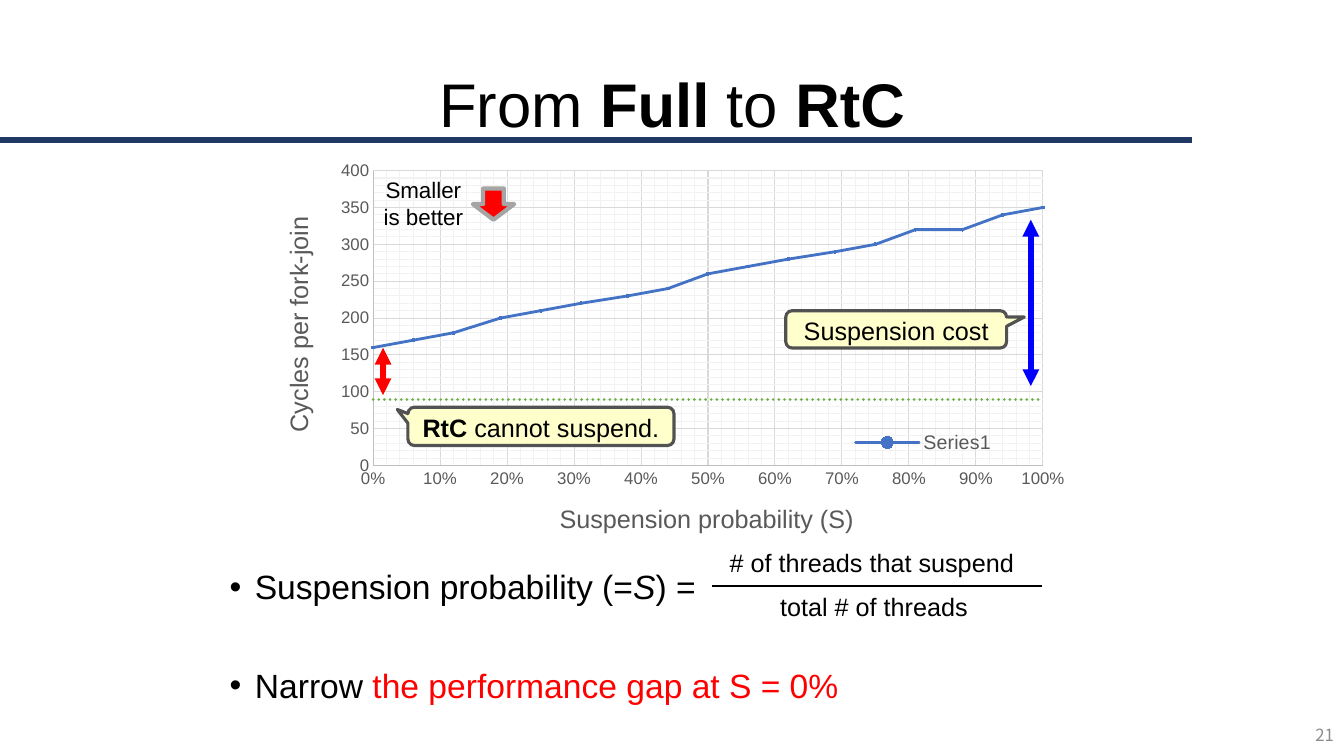
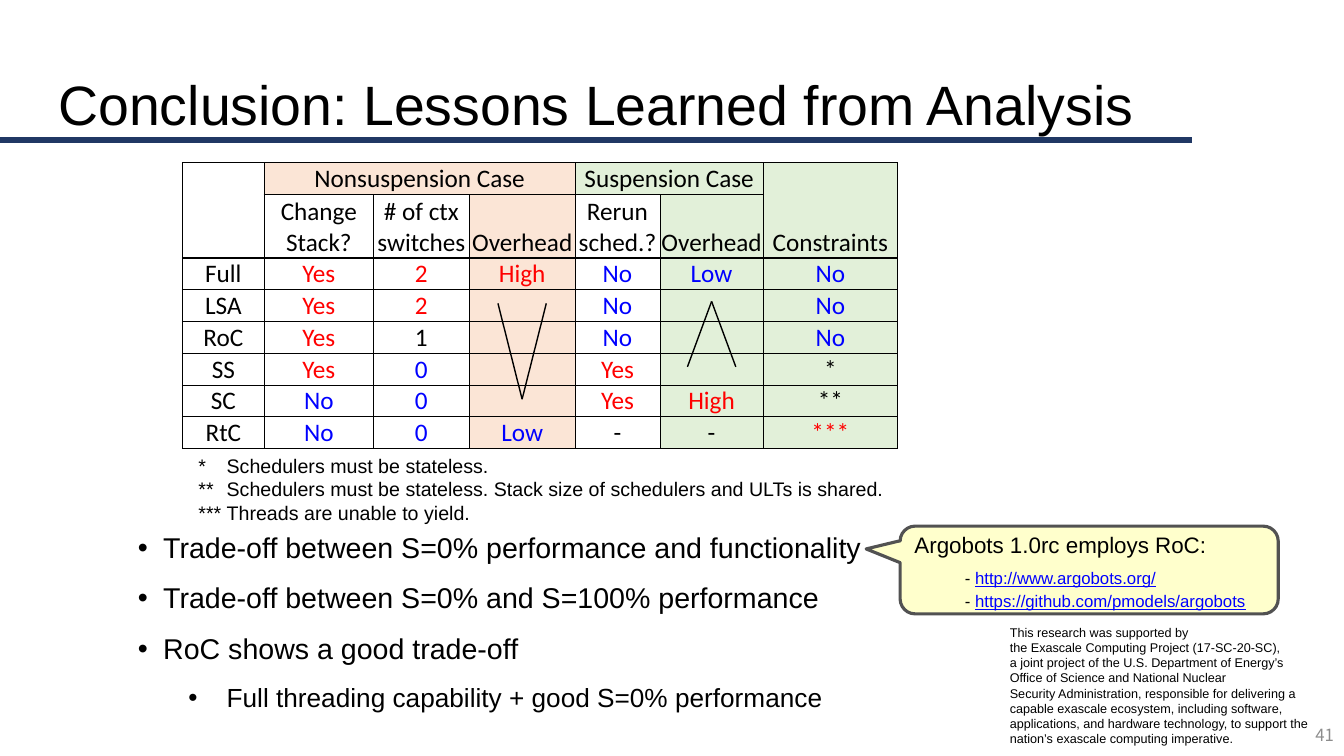
from dataclasses import dataclass

from pptx import Presentation
from pptx.chart.data import XyChartData
from pptx.dml.color import RGBColor
from pptx.enum.chart import XL_CHART_TYPE, XL_LEGEND_POSITION, XL_MARKER_STYLE, XL_TICK_MARK
from pptx.enum.dml import MSO_LINE
from pptx.enum.shapes import MSO_CONNECTOR, MSO_SHAPE
from pptx.enum.text import MSO_ANCHOR, PP_ALIGN
from pptx.oxml import parse_xml
from pptx.oxml.ns import nsdecls, qn
from pptx.util import Inches, Pt

# Shared style; positions are percentages of the slide's width and height
WIDTH, HEIGHT = Inches(13.333), Inches(7.5)
BLACK, RED, BLUE, GRAY = "000000", "FF0000", "0000FF", "595959"
NAVY, NOTE_FILL, NOTE_LINE = "203864", "FFFFCC", "525252"
PEACH, MINT = "FBE5D6", "E2F0D9"
FONT, TABLE_FONT, NUMBER_FONT = "Arial", "Calibri", "Noto Sans CJK JP"
RULE_END = 88.7


def rgb(value):
    return RGBColor.from_string(value)


def across(share):
    return round(WIDTH * share / 100)


def down(share):
    return round(HEIGHT * share / 100)


def box(left, top, width, height):
    return across(left), down(top), across(width), down(height)


# Text
@dataclass
class Para:
    runs: object  # a string, or (text, style) pairs; a newline is a line break
    size: float = 18
    color: str = BLACK
    font: str = FONT
    align: object = PP_ALIGN.LEFT
    spacing: float = 1.0
    before: float = 0
    margin: float = 0
    hanging: float = 0
    tab: float = 0


def style_run(run, para, color=None, bold=False, italic=False, underline=False):
    run.font.name, run.font.size = para.font, Pt(para.size)
    run.font.color.rgb = rgb(color or para.color)
    run.font.bold, run.font.italic, run.font.underline = bold, italic, underline


def write(frame, paras):
    for index, para in enumerate(paras):
        paragraph = frame.paragraphs[0] if index == 0 else frame.add_paragraph()
        props = paragraph._p.get_or_add_pPr()
        if para.margin:
            props.set("marL", str(Inches(para.margin)))
        if para.hanging:
            props.set("indent", str(-Inches(para.hanging)))
            props.append(parse_xml(f'<a:buFont {nsdecls("a")} typeface="Arial"/>'))
            props.append(parse_xml(f'<a:buChar {nsdecls("a")} char="•"/>'))
        if para.tab:
            props.append(parse_xml(f'<a:tabLst {nsdecls("a")}><a:tab pos="{Inches(para.tab)}" algn="l"/></a:tabLst>'))
        paragraph.alignment = para.align
        paragraph.line_spacing = para.spacing
        paragraph.space_before = Pt(para.before)
        pieces = [(para.runs, {})] if isinstance(para.runs, str) else para.runs
        for text, style in pieces:
            for number, line in enumerate(text.split("\n")):
                if number:
                    paragraph.add_line_break()
                run = paragraph.add_run()
                run.text = line
                style_run(run, para, **style)


def add_text(slide, place, paras, anchor=MSO_ANCHOR.TOP, wrap=True):
    frame = slide.shapes.add_textbox(*box(*place)).text_frame
    frame.word_wrap, frame.vertical_anchor = wrap, anchor
    write(frame, paras)


# Lines and shapes
def add_line(slide, start, end, color, width, arrows=False):
    line = slide.shapes.add_connector(MSO_CONNECTOR.STRAIGHT, across(start[0]), down(start[1]),
                                      across(end[0]), down(end[1]))
    line.line.color.rgb, line.line.width = rgb(color), Pt(width)
    props = line.element.spPr
    if arrows:
        for tag in ("headEnd", "tailEnd"):
            props.find(qn("a:ln")).append(parse_xml(f'<a:{tag} {nsdecls("a")} type="triangle"/>'))
    props.append(parse_xml(f'<a:effectLst {nsdecls("a")}/>'))


def add_chevron(slide, center, base, tip, half_width=1.8):
    for side in (-half_width, half_width):
        add_line(slide, (center + side, base), (center, tip), BLACK, 1)


def add_filled(slide, kind, place, fill, line, width):
    shape = slide.shapes.add_shape(kind, *box(*place))
    shape.shadow.inherit = False
    shape.fill.solid()
    shape.fill.fore_color.rgb = rgb(fill)
    shape.line.color.rgb, shape.line.width = rgb(line), Pt(width)
    return shape


def add_callout(slide, place, pointer, paras):
    callout = add_filled(slide, MSO_SHAPE.ROUNDED_RECTANGULAR_CALLOUT, place, NOTE_FILL, NOTE_LINE, 2.25)
    for index, value in enumerate(pointer):
        callout.adjustments[index] = value
    callout.text_frame.word_wrap = True
    callout.text_frame.vertical_anchor = MSO_ANCHOR.MIDDLE
    write(callout.text_frame, paras)


def start_slide(deck, title, number, title_width=100, title_size=44):
    slide = deck.slides.add_slide(deck.slide_layouts[6])
    add_line(slide, (0, 18.53), (RULE_END, 18.53), NAVY, 4)
    add_text(slide, (0, 7.05, title_width, 13.2), [Para(title, title_size, align=PP_ALIGN.CENTER)], MSO_ANCHOR.MIDDLE)
    add_text(slide, (77.5, 94.53, 22.5, 5.33),
             [Para(number, 12, "8C8C8C", NUMBER_FONT, PP_ALIGN.RIGHT)], MSO_ANCHOR.MIDDLE)
    return slide


# Chart
def set_layout(parent, index, x, y, size=None, inner=False):
    for old in parent.findall(qn("c:layout")):
        parent.remove(old)
    values = [("xMode", "edge"), ("yMode", "edge"), ("x", x), ("y", y)]
    if inner:
        values.insert(0, ("layoutTarget", "inner"))
    if size:
        values += zip("wh", size)
    items = "".join(f'<c:{tag} val="{value}"/>' for tag, value in values)
    parent.insert(index, parse_xml(f'<c:layout {nsdecls("c")}><c:manualLayout>{items}</c:manualLayout></c:layout>'))


def style_axis(axis, title, corner, maximum, major, number_format):
    axis.minimum_scale, axis.maximum_scale = 0, maximum
    axis.major_unit, axis.minor_unit = major, major / 5
    axis.major_tick_mark = axis.minor_tick_mark = XL_TICK_MARK.NONE
    axis.has_major_gridlines = axis.has_minor_gridlines = True
    for line, color in ((axis.format.line, "BFBFBF"), (axis.major_gridlines.format.line, "D9D9D9")):
        line.color.rgb, line.width = rgb(color), Pt(0.75)
    labels = axis.tick_labels
    labels.number_format, labels.number_format_is_linked = number_format, False
    labels.font.name, labels.font.size, labels.font.color.rgb = FONT, Pt(12), rgb(GRAY)
    write(axis.axis_title.text_frame, [Para(title, color=GRAY, align=PP_ALIGN.CENTER)])
    set_layout(axis.axis_title.element, 1, *corner)


def add_cost_chart(slide, place):
    full = [160, 170, 180, 200, 210, 220, 230, 240, 260, 270, 280, 290, 300, 320, 320, 340, 350]
    data = XyChartData()
    for name, cycles in (("Series1", full), ("Series2", [90] * len(full))):
        series = data.add_series(name)
        for step, value in enumerate(cycles):
            series.add_data_point(round(step / (len(full) - 1), 2), value)
    chart = slide.shapes.add_chart(XL_CHART_TYPE.XY_SCATTER_LINES, *box(*place), data).chart
    chart.has_title = False
    chart.font.name, chart.font.size, chart.font.color.rgb = FONT, Pt(10), rgb(BLACK)
    chart.plots[0].vary_by_categories = False

    # Measured line and dotted baseline
    measured, baseline = chart.plots[0].series
    for series, color in ((measured, "4472C4"), (baseline, "70AD47")):
        series.smooth = False
        series.format.line.color.rgb, series.format.line.width = rgb(color), Pt(2)
    baseline.format.line.dash_style = MSO_LINE.ROUND_DOT
    baseline.marker.style = XL_MARKER_STYLE.NONE
    for series_xml in chart.element.iter(qn("c:ser")):
        series_xml.find(qn("c:spPr")).find(qn("a:ln")).set("cap", "rnd")
    marker = measured.marker
    marker.style, marker.size = XL_MARKER_STYLE.CIRCLE, 2
    marker.format.fill.solid()
    marker.format.fill.fore_color.rgb = marker.format.line.color.rgb = rgb("4472C4")

    # Axes and grid
    style_axis(chart.category_axis, "Suspension probability (S)", (0.41, 0.76), 1, 0.1, "0%")
    style_axis(chart.value_axis, "Cycles per fork-join", (0.12, 0.14), 400, 50, "General")
    turned = chart.value_axis.axis_title.element.find(".//" + qn("a:bodyPr"))
    turned.set("rot", "-5400000")
    turned.set("vert", "horz")
    for grid in chart.element.iter(qn("c:minorGridlines")):
        grid.append(parse_xml(f'<c:spPr {nsdecls("c", "a")}><a:ln w="9525"><a:solidFill>'
                              '<a:srgbClr val="F2F2F2"/></a:solidFill></a:ln></c:spPr>'))
    set_layout(chart.element.find(".//" + qn("c:plotArea")), 0, 0.22, 0.05, (0.7, 0.64), inner=True)

    # Legend for the measured line only
    chart.has_legend = True
    chart.legend.position = XL_LEGEND_POSITION.BOTTOM
    chart.legend.include_in_layout = False
    font = chart.legend.font
    font.name, font.size, font.color.rgb = FONT, Pt(14), rgb(GRAY)
    legend = chart.element.find(".//" + qn("c:legend"))
    legend.insert(1, parse_xml(f'<c:legendEntry {nsdecls("c")}><c:idx val="1"/><c:delete val="1"/></c:legendEntry>'))
    set_layout(legend, 2, 0.71, 0.6, (0.17, 0.08))


# Table
ROWS = [
    ["", "Nonsuspension Case", "", "", "Suspension Case", "", "Constraints"],
    ["", "Change Stack?", "# of ctx switches", "Overhead", "Rerun sched.?", "Overhead", ""],
    ["Full", "Yes", "2", "High", "No", "Low", "No"],
    ["LSA", "Yes", "2", "", "No", "", "No"],
    ["RoC", "Yes", "1", "", "No", "", "No"],
    ["SS", "Yes", "0", "", "Yes", "", "*"],
    ["SC", "No", "0", "", "Yes", "High", "**"],
    ["RtC", "No", "0", "Low", "-", "-", "***"],
]
VERDICTS = {**dict.fromkeys(("Yes", "2", "High", "***"), RED), **dict.fromkeys(("No", "0", "Low"), BLUE)}
HEAVY_COLUMNS, HEAVY_ROWS = {0, 1, 4, 6, 7}, {0, 2, 8}


def cell_fill(row, column):
    if column == 3 or (row == 0 and column in (1, 2)):
        return PEACH
    return MINT if column in (5, 6) or (row == 0 and column == 4) else None


def set_borders(cell, row, column):
    tall, wide = (cell.span_height, cell.span_width) if cell.is_merge_origin else (1, 1)
    heavy = {"L": column in HEAVY_COLUMNS, "R": column + wide in HEAVY_COLUMNS,
             "T": row in HEAVY_ROWS, "B": row + tall in HEAVY_ROWS}
    props = cell._tc.get_or_add_tcPr()
    for index, (side, is_heavy) in enumerate(heavy.items()):
        props.insert(index, parse_xml(
            f'<a:ln{side} {nsdecls("a")} w="{Pt(1 if is_heavy else 0.5)}"><a:solidFill>'
            f'<a:srgbClr val="{BLACK}"/></a:solidFill></a:ln{side}>'))


def add_comparison(slide):
    widths, heights = [6.08, 8.13, 7.13, 7.88, 6.3, 7.7, 9.98], [4.2, 8.4] + [4.2] * 6
    table = slide.shapes.add_table(len(ROWS), len(widths), *box(13.58, 21.53, sum(widths), sum(heights))).table
    table.first_row = table.horz_banding = False
    for column, width in zip(table.columns, widths):
        column.width = across(width)
    for row, height in zip(table.rows, heights):
        row.height = down(height)
    for first, last in (((0, 0), (1, 0)), ((0, 1), (0, 3)), ((0, 4), (0, 5)), ((0, 6), (1, 6))):
        table.cell(*first).merge(table.cell(*last))
    for r, texts in enumerate(ROWS):
        for c, text in enumerate(texts):
            cell = table.cell(r, c)
            cell.margin_left = cell.margin_right = cell.margin_top = Inches(0.01)
            cell.margin_bottom = 0
            cell.vertical_anchor = MSO_ANCHOR.BOTTOM
            if text:
                write(cell.text_frame, [Para(text, 18, VERDICTS.get(text, BLACK), TABLE_FONT, PP_ALIGN.CENTER)])
            else:
                cell.text_frame.paragraphs[0].font.size = Pt(18)
            fill = cell_fill(r, c)
            if fill:
                cell.fill.solid()
                cell.fill.fore_color.rgb = rgb(fill)
            else:
                cell.fill.background()
            set_borders(cell, r, c)


# Slides
def build_suspension(deck):
    bold = {"bold": True}
    slide = start_slide(deck, [("From ", {}), ("Full", bold), (" to ", {}), ("RtC", bold)], "21")
    bullet = dict(size=24, spacing=1.1, margin=0.25, hanging=0.25)
    add_text(slide, (16.35, 73.73, 68.78, 26.27), [
        Para([("Suspension probability (=", {}), ("S", {"italic": True}), (") =", {})], **bullet),
        Para([("Narrow ", {}), ("the performance gap at S = 0%", {"color": RED})], before=38.5, **bullet)])
    add_cost_chart(slide, (12.1, 19.53, 71.2, 60.95))

    # Chart annotations
    note = dict(align=PP_ALIGN.CENTER, spacing=1.1)
    add_callout(slide, (30.35, 53.87, 19.8, 5.07), (-0.54, -0.44, 0.17),
                [Para([("RtC ", bold), ("cannot suspend.", {})], **note)])
    add_callout(slide, (58.47, 41.1, 16.43, 4.93), (0.58, -0.33, 0.17), [Para("Suspension cost", **note)])
    add_filled(slide, MSO_SHAPE.DOWN_ARROW, (35.18, 24.93, 3.08, 4.13), RED, "A5A5A5", 3)
    add_text(slide, (25.13, 22.67, 12.75, 8.53), [Para("Smaller\nis better", 16, align=PP_ALIGN.CENTER)])
    add_line(slide, (76.7, 29.07), (76.7, 51.07), BLUE, 4, arrows=True)
    add_line(slide, (28.5, 46), (28.5, 52.27), RED, 4, arrows=True)

    # Fraction
    add_text(slide, (53.55, 71.8, 23.93, 5.33), [Para("# of threads that suspend")], wrap=False)
    add_text(slide, (57.3, 77.6, 15.6, 5.33), [Para("total # of threads")], wrap=False)
    add_line(slide, (52.95, 77.5), (77.5, 77.5), BLACK, 1.5)


def build_conclusion(deck):
    slide = start_slide(deck, "Conclusion: Lessons Learned from Analysis", "41", RULE_END, 39.6)
    lessons = ["Trade-off between S=0% performance and functionality",
               "Trade-off between S=0% and S=100% performance", "RoC shows a good trade-off"]
    paras = [Para(text, 20.4, spacing=0.9, before=14 if index else 0, margin=0.25, hanging=0.25)
             for index, text in enumerate(lessons)]
    paras.append(Para("Full threading capability + good S=0% performance", 18.7,
                      spacing=0.9, before=14, margin=0.88, hanging=0.38))
    add_text(slide, (9.53, 69.95, 75, 25.07), paras)

    # Comparison with trend marks and footnotes
    add_comparison(slide)
    add_chevron(slide, 38.85, 40.13, 52.8)
    add_chevron(slide, 52.95, 48.53, 39.87)
    footnotes = ["*\tSchedulers must be stateless.",
                 "**\tSchedulers must be stateless. Stack size of schedulers and ULTs is shared.",
                 "***\tThreads are unable to yield."]
    add_text(slide, (14.03, 59.33, 81.45, 10.8), [Para(text, 14, tab=0.28) for text in footnotes])

    # Funding credit and release note
    add_text(slide, (74.4, 82, 24.3, 17.47), [Para(
        "This research was supported by\nthe Exascale Computing Project (17-SC-20-SC),\n"
        "a joint project of the U.S. Department of Energy’s\nOffice of Science and National Nuclear\n"
        "Security Administration, responsible for delivering a\ncapable exascale ecosystem, including software,\n"
        "applications, and hardware technology, to support the\nnation’s exascale computing imperative.", 9)])
    link = {"color": BLUE, "underline": True}
    addresses = [("http://www.argobots.org/", 5), ("https://github.com/pmodels/argobots", 1)]
    add_callout(slide, (66.98, 69.6, 28.13, 11.6), (-0.59, -0.24, 0.17),
                [Para("Argobots 1.0rc employs RoC:", 16, spacing=1.1)]
                + [Para([("- ", {}), (address, link)], 12, spacing=1.1, before=gap, margin=0.5)
                   for address, gap in addresses])


def main():
    deck = Presentation()
    deck.slide_width, deck.slide_height = WIDTH, HEIGHT
    build_suspension(deck)
    build_conclusion(deck)
    deck.save("out.pptx")


if __name__ == "__main__":
    main()
